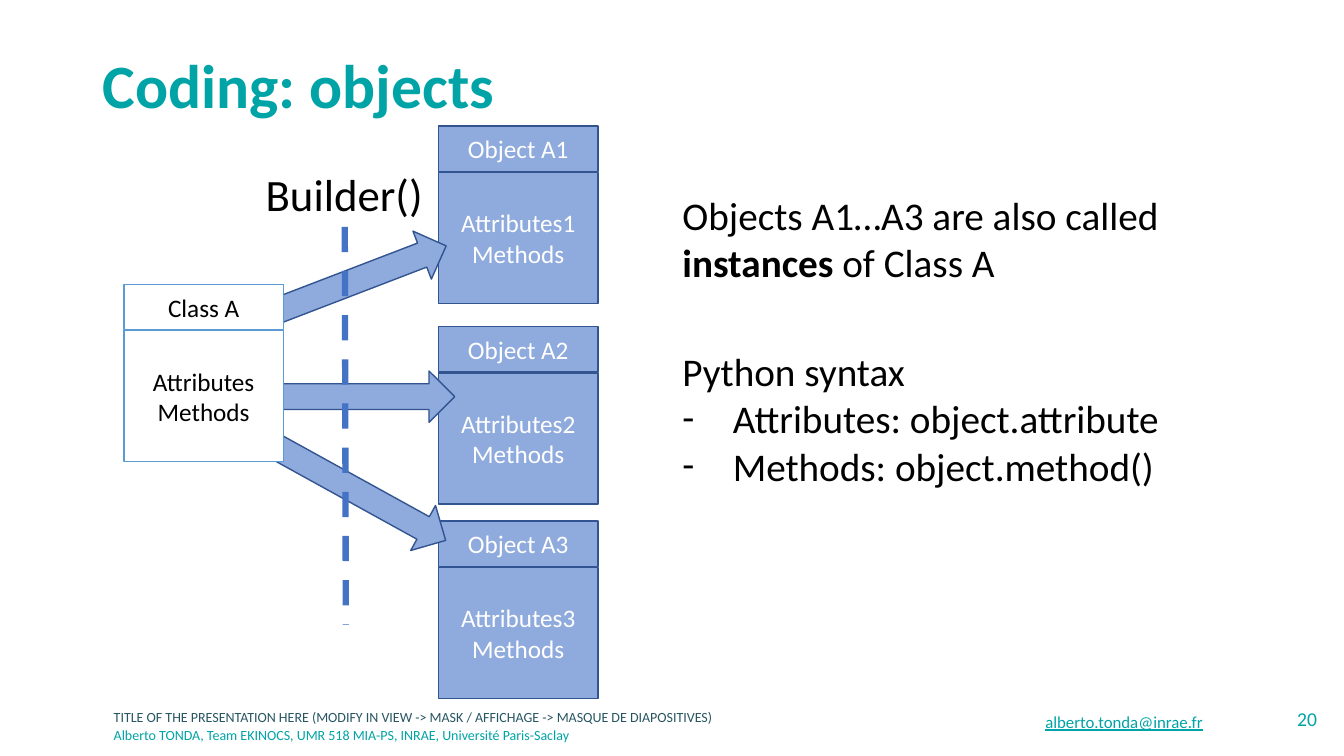
from dataclasses import dataclass

from lxml import etree
from pptx import Presentation
from pptx.dml.color import RGBColor
from pptx.enum.dml import MSO_LINE
from pptx.enum.shapes import MSO_CONNECTOR, MSO_SHAPE
from pptx.enum.text import MSO_ANCHOR, PP_ALIGN
from pptx.oxml.ns import qn
from pptx.util import Inches, Pt

LEFT, CENTER, RIGHT = PP_ALIGN.LEFT, PP_ALIGN.CENTER, PP_ALIGN.RIGHT
TOP, MIDDLE = MSO_ANCHOR.TOP, MSO_ANCHOR.MIDDLE
RECTANGLE, ARROW = MSO_SHAPE.RECTANGLE, MSO_SHAPE.RIGHT_ARROW
STRAIGHT, DASH = MSO_CONNECTOR.STRAIGHT, MSO_LINE.DASH


@dataclass(frozen=True)
class Theme:
    font: str = "Calibri"
    teal: str = "00A3A6"
    dark_teal: str = "275662"
    black: str = "000000"
    white: str = "FFFFFF"
    object_fill: str = "8FAADC"
    object_line: str = "325491"
    class_line: str = "5B9BD5"
    divider: str = "4472C4"
    title_size: int = 44
    builder_size: int = 32
    body_size: int = 28
    box_size: int = 18
    number_size: int = 14
    mail_size: int = 12
    footer_size: int = 10


class SlideBuilder:
    def __init__(self, page, theme):
        self.page = page
        self.theme = theme

    def fill_frame(self, frame, paras, size, color, align=LEFT, anchor=TOP,
                   spacing=None, **font_format):
        """Fill a frame; each paragraph is a list of (text, format) spans."""
        frame.word_wrap = True
        frame.vertical_anchor = anchor
        for index, spans in enumerate(paras):
            para = frame.paragraphs[0] if index == 0 else frame.add_paragraph()
            para.alignment = align
            if spacing:
                para.line_spacing = spacing
            for words, extra in spans:
                span = para.add_run()
                span.text = words
                span.font.color.rgb = RGBColor.from_string(color)
                values = {"name": self.theme.font, "size": Pt(size),
                          **font_format, **extra}
                for name, value in values.items():
                    setattr(span.font, name, value)

    def text(self, place, paras, size, color, **options):
        box = self.page.shapes.add_textbox(*map(Inches, place))
        self.fill_frame(box.text_frame, paras, size, color, **options)
        return box

    def shape(self, kind, place, fill, line, rotation=0):
        shape = self.page.shapes.add_shape(kind, *map(Inches, place))
        shape.shadow.inherit = False
        shape.rotation = rotation
        shape.fill.solid()
        shape.fill.fore_color.rgb = RGBColor.from_string(fill)
        shape.line.color.rgb = RGBColor.from_string(line)
        shape.line.width = Pt(1)
        return shape

    def class_box(self, left, top, name, members, fill, line, color):
        """Draw a name compartment above a member compartment."""
        width, name_height, member_top, member_height = 1.58, 0.45, 0.46, 1.3
        parts = [(top + member_top, member_height, members),
                 (top, name_height, [name])]
        for part_top, height, lines in parts:
            box = self.shape(RECTANGLE, (left, part_top, width, height), fill, line)
            self.fill_frame(box.text_frame, [[(words, {})] for words in lines],
                            self.theme.box_size, color, align=CENTER, anchor=MIDDLE)

    def dashed_line(self, start, end, color, width):
        line = self.page.shapes.add_connector(
            STRAIGHT, *map(Inches, (*start, *end)))
        line.line.color.rgb = RGBColor.from_string(color)
        line.line.width = Pt(width)
        line.line.dash_style = DASH
        properties = line._element.find(qn("p:spPr"))
        etree.SubElement(properties, qn("a:effectLst"))

    def bullet(self, para, mark, indent):
        properties = para._p.get_or_add_pPr()
        properties.set("marL", str(Inches(indent)))
        properties.set("indent", str(-Inches(indent)))
        etree.SubElement(properties, qn("a:buFont")).set("typeface", self.theme.font)
        etree.SubElement(properties, qn("a:buChar")).set("char", mark)


def main():
    deck = Presentation()
    deck.slide_width, deck.slide_height = Inches(13.33), Inches(7.5)
    page = deck.slides.add_slide(deck.slide_layouts[6])
    theme = Theme()
    slide = SlideBuilder(page, theme)

    # Footer
    footers = [
        (6.98, theme.dark_teal, "TITLE OF THE PRESENTATION HERE "
         "(MODIFY IN VIEW -> MASK / AFFICHAGE -> MASQUE DE DIAPOSITIVES)"),
        (7.16, theme.teal, "Alberto TONDA, Team EKINOCS, UMR 518 MIA-PS, "
         "INRAE, Université Paris-Saclay"),
    ]
    for top, color, words in footers:
        slide.text((1.03, top, 7.34, 0.28), [[(words, {})]],
                   theme.footer_size, color)
    slide.text((12.14, 6.96, 1.02, 0.4), [[("20", {})]],
               theme.number_size, theme.teal, align=RIGHT)
    slide.text((7.53, 6.96, 4.5, 0.4), [[("alberto.tonda@inrae.fr", {})]],
               theme.mail_size, theme.teal, align=RIGHT, anchor=MIDDLE,
               underline=True)

    # Title
    slide.text((0.92, 0.4, 11.5, 0.95), [[("Coding: objects", {})]],
               theme.title_size, theme.teal, anchor=MIDDLE, spacing=0.9, bold=True)

    # Objects built from the class
    for number, top in enumerate((1.25, 3.24, 5.17), start=1):
        slide.class_box(4.35, top, f"Object A{number}",
                        [f"Attributes{number}", "Methods"],
                        theme.object_fill, theme.object_line, theme.white)

    # Arrows, then the class over their tails
    for left, top, rotation in ((2.56, 2.53, 339), (2.58, 3.68, 0), (2.61, 4.64, 28.9)):
        slide.shape(ARROW, (left, top, 1.93, 0.51),
                    theme.object_fill, theme.object_line, rotation)
    slide.class_box(1.23, 2.82, "Class A", ["Attributes", "Methods"],
                    theme.white, theme.class_line, theme.black)

    # Builder divider
    slide.text((2.53, 1.61, 1.77, 0.64), [[("Builder()", {})]],
               theme.builder_size, theme.black, align=CENTER)
    slide.dashed_line((3.42, 2.25), (3.43, 6.2), theme.divider, 4.5)

    # Explanations
    slide.text((6.67, 1.85, 5.61, 1.04),
               [[("Objects A1…A3 are also called ", {}),
                 ("instances", {"bold": True}), (" of Class A", {})]],
               theme.body_size, theme.black)
    syntax = slide.text((6.67, 3.4, 5.61, 1.51),
                        [[("Python syntax", {})],
                         [("Attributes: object.attribute", {})],
                         [("Methods: object.method()", {})]],
                        theme.body_size, theme.black)
    for para in syntax.text_frame.paragraphs[1:]:
        slide.bullet(para, "-", 0.5)

    deck.save("out.pptx")


if __name__ == "__main__":
    main()
